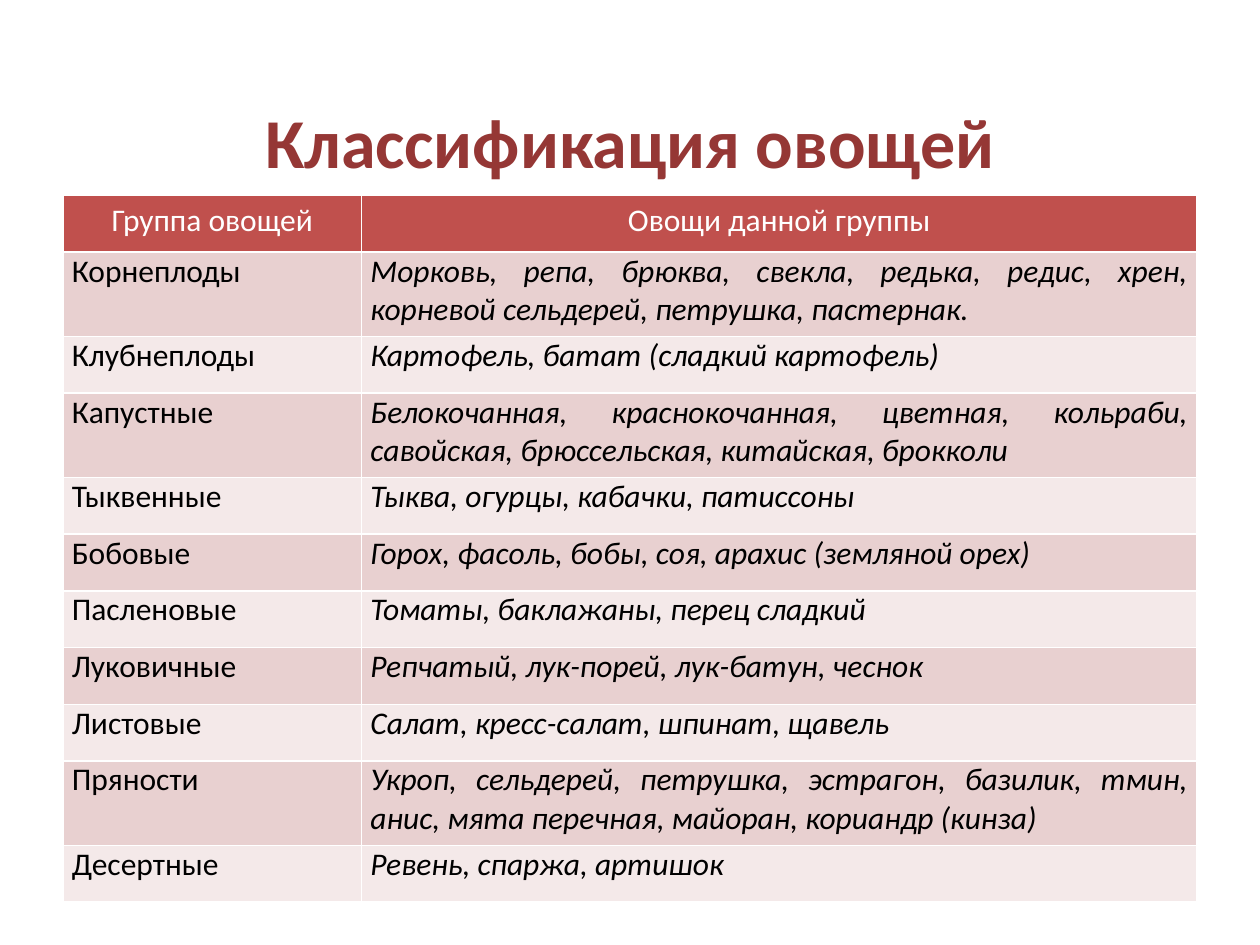
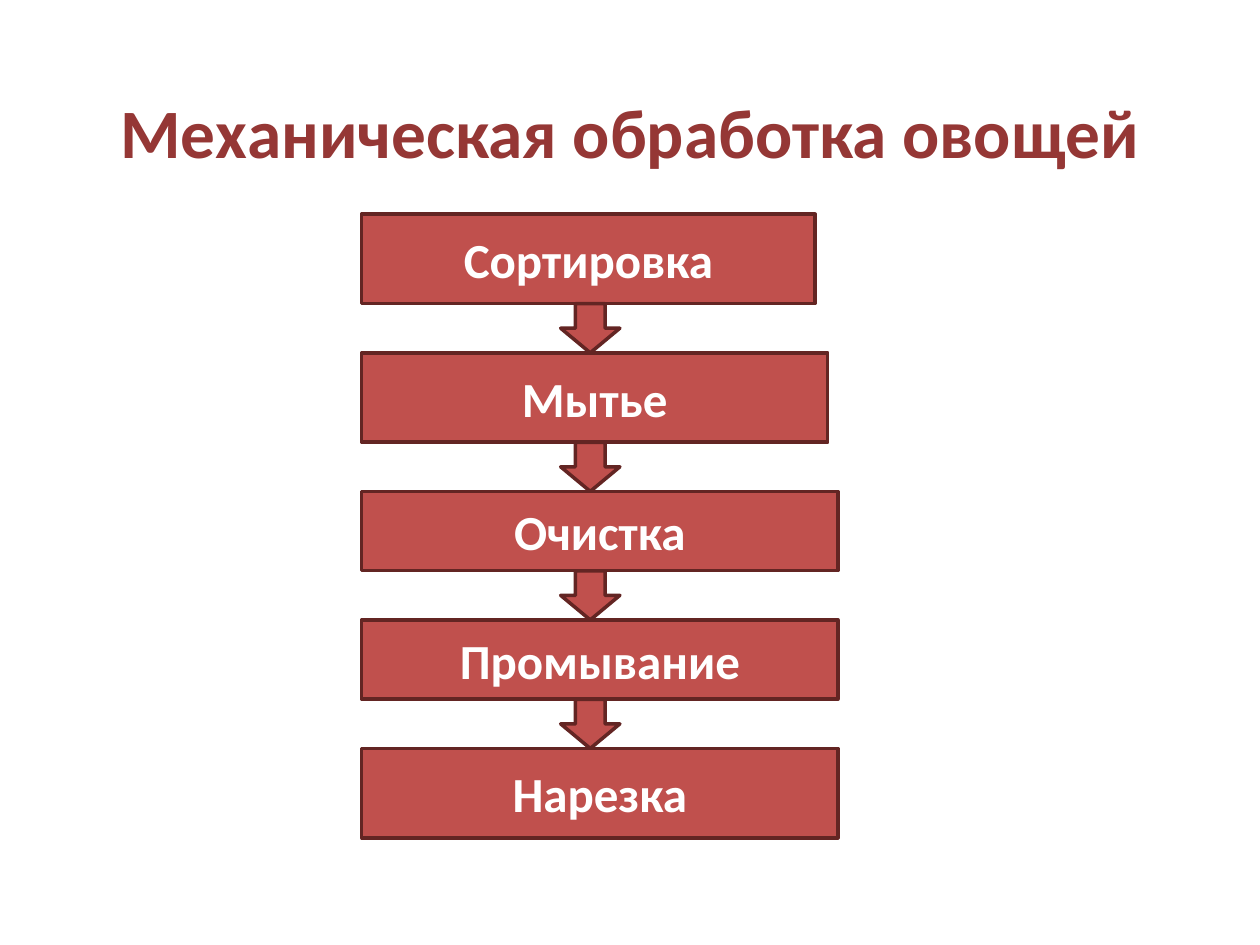
from lxml import etree
from pptx import Presentation
from pptx.dml.color import RGBColor
from pptx.enum.shapes import MSO_SHAPE as Shape
from pptx.enum.text import MSO_ANCHOR as Anchor, PP_ALIGN as Align
from pptx.oxml.ns import qn
from pptx.util import Inches, Pt

FONT = "Calibri"
WHITE = RGBColor(0xFF, 0xFF, 0xFF)
BLACK = RGBColor(0x00, 0x00, 0x00)
TITLE_RED = RGBColor(0x95, 0x37, 0x35)
RED = RGBColor(0xC0, 0x50, 0x4D)
DARK_RED = RGBColor(0x63, 0x25, 0x23)
BANDS = (RGBColor(0xE8, 0xD0, 0xD0), RGBColor(0xF4, 0xE9, 0xE9))

GROUPS_TITLE = "Классификация овощей"
GROUPS_HEADER = ("Группа овощей", "Овощи данной группы")
GROUPS = [
    ("Корнеплоды", "Морковь, репа, брюква, свекла, редька, редис, хрен, "
                   "корневой сельдерей, петрушка, пастернак."),
    ("Клубнеплоды", "Картофель, батат (сладкий картофель)"),
    ("Капустные", "Белокочанная, краснокочанная, цветная, кольраби, "
                  "савойская, брюссельская, китайская, брокколи"),
    ("Тыквенные", "Тыква, огурцы, кабачки, патиссоны"),
    ("Бобовые", "Горох, фасоль, бобы, соя, арахис (земляной орех)"),
    ("Пасленовые", "Томаты, баклажаны, перец сладкий"),
    ("Луковичные", "Репчатый, лук-порей, лук-батун, чеснок"),
    ("Листовые", "Салат, кресс-салат, шпинат, щавель"),
    ("Пряности", "Укроп, сельдерей, петрушка, эстрагон, базилик, тмин, "
                 "анис, мята перечная, майоран, кориандр (кинза)"),
    ("Десертные", "Ревень, спаржа, артишок"),
]
COLUMN_WIDTHS = (2.37, 6.63)
ROW_HEIGHT, TALL_ROW_HEIGHT = 0.45, 0.67
ONE_LINE_LENGTH = 60

STEPS_TITLE = "Механическая обработка овощей"
STEPS = [  # name, box width, box height
    ("Сортировка", 3.6, 0.71),
    ("Мытье", 3.7, 0.71),
    ("Очистка", 3.78, 0.63),
    ("Промывание", 3.78, 0.63),
    ("Нарезка", 3.78, 0.71),
]
STEPS_LEFT, STEPS_TOP = 2.87, 1.7
ARROW_LEFT, ARROW_WIDTH, ARROW_HEIGHT = 4.45, 0.47, 0.39

MARGIN, CONTENT_WIDTH = 0.5, 9


def write(frame, text, size, color, align=Align.CENTER, bold=False, italic=False):
    para = frame.paragraphs[0]
    para.alignment = align
    span = para.add_run()
    span.text = text
    font = span.font
    font.name, font.size, font.bold, font.italic = FONT, Pt(size), bold, italic
    font.color.rgb = color


def add_page(deck, title, top, height, size):
    """Add a blank slide with the shared title style."""
    page = deck.slides.add_slide(deck.slide_layouts[6])
    box = page.shapes.add_textbox(Inches(MARGIN), Inches(top),
                                  Inches(CONTENT_WIDTH), Inches(height))
    frame = box.text_frame
    frame.word_wrap = True
    frame.vertical_anchor = Anchor.MIDDLE
    write(frame, title, size, TITLE_RED, bold=True)
    return page


def fill_cell(cell, color):
    """Fill a cell and give it thin white borders."""
    cell.fill.solid()
    cell.fill.fore_color.rgb = color
    props = cell._tc.get_or_add_tcPr()
    for index, side in enumerate(("lnL", "lnR", "lnT", "lnB")):
        line = etree.Element(qn(f"a:{side}"), w=str(Pt(1)))
        solid = etree.SubElement(line, qn("a:solidFill"))
        etree.SubElement(solid, qn("a:srgbClr"), val=str(WHITE))
        props.insert(index, line)


def add_groups_table(page):
    heights = [ROW_HEIGHT] + [
        TALL_ROW_HEIGHT if len(members) > ONE_LINE_LENGTH else ROW_HEIGHT
        for _, members in GROUPS]
    table = page.shapes.add_table(
        len(heights), len(COLUMN_WIDTHS), Inches(MARGIN), Inches(1.55),
        Inches(CONTENT_WIDTH), Inches(sum(heights))).table
    for column, width in zip(table.columns, COLUMN_WIDTHS):
        column.width = Inches(width)
    for row, height in zip(table.rows, heights):
        row.height = Inches(height)

    for cell, text in zip(table.rows[0].cells, GROUPS_HEADER):
        fill_cell(cell, RED)
        write(cell.text_frame, text, 18, WHITE)
    for number, group in enumerate(GROUPS):
        for column, text in enumerate(group):
            cell = table.cell(number + 1, column)
            fill_cell(cell, BANDS[number % 2])
            cell.margin_left = cell.margin_right = Inches(0.07)
            cell.margin_top = cell.margin_bottom = 0
            write(cell.text_frame, text, 18, BLACK, Align.JUSTIFY, italic=column == 1)


def add_red_shape(page, kind, left, top, width, height):
    shape = page.shapes.add_shape(kind, Inches(left), Inches(top),
                                  Inches(width), Inches(height))
    shape.shadow.inherit = False
    shape.fill.solid()
    shape.fill.fore_color.rgb = RED
    shape.line.color.rgb = DARK_RED
    shape.line.width = Pt(2)
    return shape


def add_steps(page):
    """Stack the step boxes with an arrow in each gap."""
    top = STEPS_TOP
    for number, (name, width, height) in enumerate(STEPS):
        if number:
            add_red_shape(page, Shape.DOWN_ARROW, ARROW_LEFT, top,
                          ARROW_WIDTH, ARROW_HEIGHT)
            top += ARROW_HEIGHT
        box = add_red_shape(page, Shape.RECTANGLE, STEPS_LEFT, top, width, height)
        box.text_frame.vertical_anchor = Anchor.MIDDLE
        write(box.text_frame, name, 28, WHITE, bold=True)
        top += height


def main():
    deck = Presentation()
    deck.slide_width, deck.slide_height = Inches(10), Inches(7.5)
    add_groups_table(add_page(deck, GROUPS_TITLE, 0.68, 0.87, 40))
    add_steps(add_page(deck, STEPS_TITLE, 0.52, 1.03, 39.6))
    deck.save("out.pptx")


if __name__ == "__main__":
    main()
